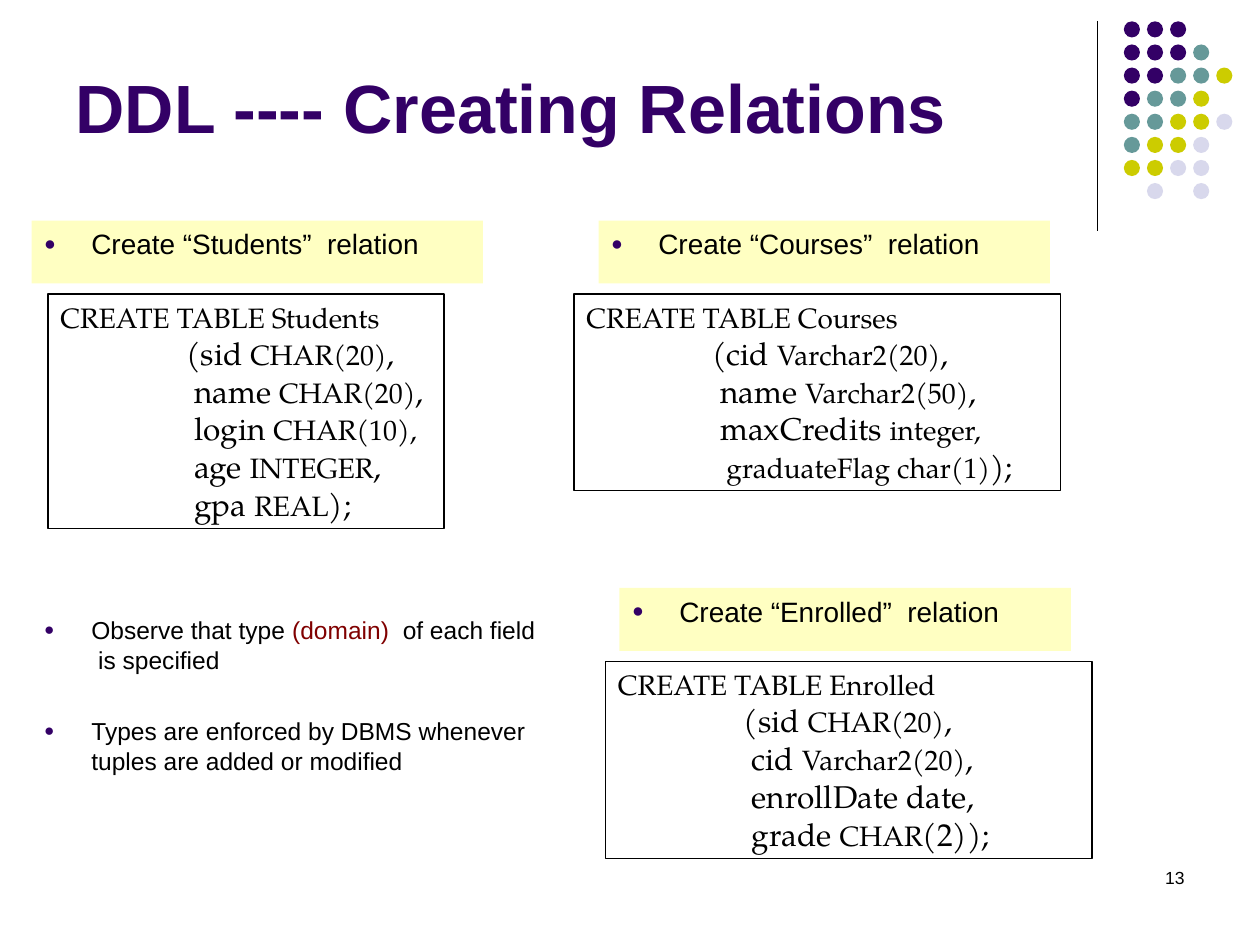
from pptx import Presentation
from pptx import util as u
from pptx.dml.color import RGBColor
from pptx.enum import shapes, text
from pptx.oxml import parse_xml
from pptx.oxml.ns import nsdecls

THEME = {
    "sans": "Arial", "serif": "TeX Gyre Pagella",
    "title": 39, "heading": 16, "note": 14, "name": 18, "type": 16, "number": 10,
    "purple": "330066", "teal": "669999", "lime": "CCCC00", "lilac": "D8D8EC",
    "cream": "FFFFC2", "ink": "000000", "accent": "800000",
}

TITLE = "DDL ---- Creating Relations"
PAGE_NUMBER = "13"

RELATIONS = [
    {"heading": "Create “Students”  relation", "heading_at": (18, 126),
     "code_at": (27.4, 168, 226.3, 134),
     "code": [
         [("CREATE TABLE Students", "type")],
         [("\t(sid ", "name"), ("CHAR(20)", "type"), (",", "name")],
         [("\t name ", "name"), ("CHAR(20)", "type"), (",", "name")],
         [("\t login ", "name"), ("CHAR(10),", "type")],
         [("\t age ", "name"), ("INTEGER", "type"), (",", "name")],
         [("\t gpa ", "name"), ("REAL", "type"), (");", "name")]]},
    {"heading": "Create “Courses”  relation", "heading_at": (342, 126),
     "code_at": (328, 168, 278, 112.5),
     "code": [
         [("CREATE TABLE Courses", "type")],
         [("\t(cid ", "name"), ("Varchar2(20)", "type"), (",", "name")],
         [("\t name ", "name"), ("Varchar2(50)", "type"), (",", "name")],
         [("\t maxCredits ", "name"), ("integer,", "type")],
         [("\t  graduateFlag char(1)", "type"), (");", "name")]]},
    {"heading": "Create “Enrolled”  relation", "heading_at": (354, 336),
     "code_at": (346, 378, 278, 112.5),
     "code": [
         [("CREATE TABLE Enrolled", "type")],
         [("\t(sid ", "name"), ("CHAR(20)", "type"), (",", "name")],
         [("\t cid ", "name"), ("Varchar2(20)", "type"), (",", "name")],
         [("\t enrollDate date,", "name")],
         [("\t grade ", "name"), ("CHAR", "type"), ("(2));", "name")]]},
]

NOTES = [
    [("Observe that type ", "ink"), ("(domain)  ", "accent"),
     ("of each field", "ink"), ("\n is specified", "ink")],
    [("Types are enforced by DBMS whenever tuples are added or modified", "ink")],
]

DOT_COLOURS = {"P": "purple", "T": "teal", "L": "lime", "V": "lilac"}
DOT_ROWS = ["PPP", "PPPT", "PPTTL", "PTTL", "TTLLV", "TLLV", "LLVV", " V V"]
DOT_LEFT, DOT_TOP, DOT_PITCH, DOT_SIZE = 642.2, 12.2, 13.2, 9.2

HEADING_SIZE = (258, 36)
NOTES_AT = (18, 348, 300, 120)
TITLE_AT = (36, 9.5, 594, 102)
NUMBER_AT = (516, 492, 168, 36)
RULE_X, RULE_TOP, RULE_BOTTOM = 627, 12, 132
NOTE_GAP, BULLET_INDENT, CODE_TAB = 24, 27, 72


def colour(key):
    return RGBColor.from_string(THEME[key])


def apply(target, values):
    for name, value in values.items():
        setattr(target, name, value)


def place(part, at):
    apply(part, dict(zip(("left", "top", "width", "height"), map(u.Pt, at))))


def paint(part, fill=None, line=None):
    if fill:
        part.fill.solid()
        part.fill.fore_color.rgb = colour(fill)
    else:
        part.fill.background()
    if line:
        part.line.color.rgb = colour(line)
        part.line.width = u.Pt(0.75)
    else:
        part.line.fill.background()


def add_bullet(paragraph):
    properties = paragraph._p.get_or_add_pPr()
    properties.set("marL", str(u.Pt(BULLET_INDENT)))
    properties.set("indent", str(-u.Pt(BULLET_INDENT)))
    ns = nsdecls("a")
    for xml in (f'<a:buClr {ns}><a:srgbClr val="{THEME["purple"]}"/></a:buClr>',
                f'<a:buSzPct {ns} val="70000"/>',
                f'<a:buFont {ns} typeface="{THEME["sans"]}"/>',
                f'<a:buChar {ns} char="●"/>'):
        properties.append(parse_xml(xml))


def add_tab(paragraph, position):
    paragraph._p.get_or_add_pPr().append(parse_xml(
        f'<a:tabLst {nsdecls("a")}><a:tab pos="{u.Pt(position)}" algn="l"/></a:tabLst>'))


def write(part, lines, font="sans", bold=False, bullets=False, gap=0, tab=None,
          align=text.PP_ALIGN.LEFT, anchor=text.MSO_ANCHOR.TOP):
    frame = part.text_frame
    apply(frame, {"word_wrap": True, "auto_size": text.MSO_AUTO_SIZE.NONE,
                  "vertical_anchor": anchor,
                  "margin_left": u.Pt(7.2), "margin_right": u.Pt(7.2),
                  "margin_top": u.Pt(3.6), "margin_bottom": u.Pt(3.6)})
    for index, line in enumerate(lines):
        paragraph = frame.add_paragraph() if index else frame.paragraphs[0]
        if bullets:
            add_bullet(paragraph)
        if tab:
            add_tab(paragraph, tab)
        apply(paragraph, {"alignment": align,
                          "space_before": u.Pt(gap if index else 0)})
        for words, size, ink in line:
            if words.startswith("\n"):
                paragraph.add_line_break()
            run = paragraph.add_run()
            run.text = words.lstrip("\n")
            apply(run.font, {"name": THEME[font], "size": u.Pt(THEME[size]),
                             "bold": bold})
            run.font.color.rgb = colour(ink)


def add_dots(slide):
    for row, marks in enumerate(DOT_ROWS):
        for column, mark in enumerate(marks):
            if mark in DOT_COLOURS:
                at = (DOT_LEFT + column * DOT_PITCH, DOT_TOP + row * DOT_PITCH,
                      DOT_SIZE, DOT_SIZE)
                dot = slide.shapes.add_shape(shapes.MSO_SHAPE.OVAL, *map(u.Pt, at))
                dot.shadow.inherit = False
                paint(dot, fill=DOT_COLOURS[mark])


def add_rule(slide):
    ends = map(u.Pt, (RULE_X, RULE_TOP, RULE_X, RULE_BOTTOM))
    rule = slide.shapes.add_connector(shapes.MSO_CONNECTOR.STRAIGHT, *ends)
    rule.line.color.rgb = colour("ink")
    rule.line.width = u.Pt(0.75)
    rule._element.spPr.append(parse_xml(f'<a:effectLst {nsdecls("a")}/>'))


def add_relation(slide, relation, heading):
    place(heading, relation["heading_at"] + HEADING_SIZE)
    paint(heading, fill="cream")
    write(heading, [[(relation["heading"], "heading", "ink")]], bullets=True)
    code = slide.shapes.add_shape(shapes.MSO_SHAPE.RECTANGLE,
                                  *map(u.Pt, relation["code_at"]))
    code.shadow.inherit = False
    paint(code, line="ink")
    write(code, [[(words, size, "ink") for words, size in line]
                 for line in relation["code"]], font="serif", tab=CODE_TAB)


def main():
    deck = Presentation()
    apply(deck, {"slide_width": u.Pt(720), "slide_height": u.Pt(540)})
    slide = deck.slides.add_slide(deck.slide_layouts.get_by_name("Comparison"))
    add_rule(slide)
    add_dots(slide)

    title = slide.shapes.title
    place(title, TITLE_AT)
    write(title, [[(TITLE, "title", "purple")]], bold=True,
          anchor=text.MSO_ANCHOR.MIDDLE)

    *headings, notes = [slide.placeholders[index] for index in (1, 2, 3, 4)]
    for relation, heading in zip(RELATIONS, headings):
        add_relation(slide, relation, heading)

    place(notes, NOTES_AT)
    write(notes, [[(words, "note", ink) for words, ink in line] for line in NOTES],
          bullets=True, gap=NOTE_GAP)

    number = slide.shapes.add_textbox(*map(u.Pt, NUMBER_AT))
    write(number, [[(PAGE_NUMBER, "number", "ink")]], align=text.PP_ALIGN.RIGHT)
    deck.save("out.pptx")


if __name__ == "__main__":
    main()
